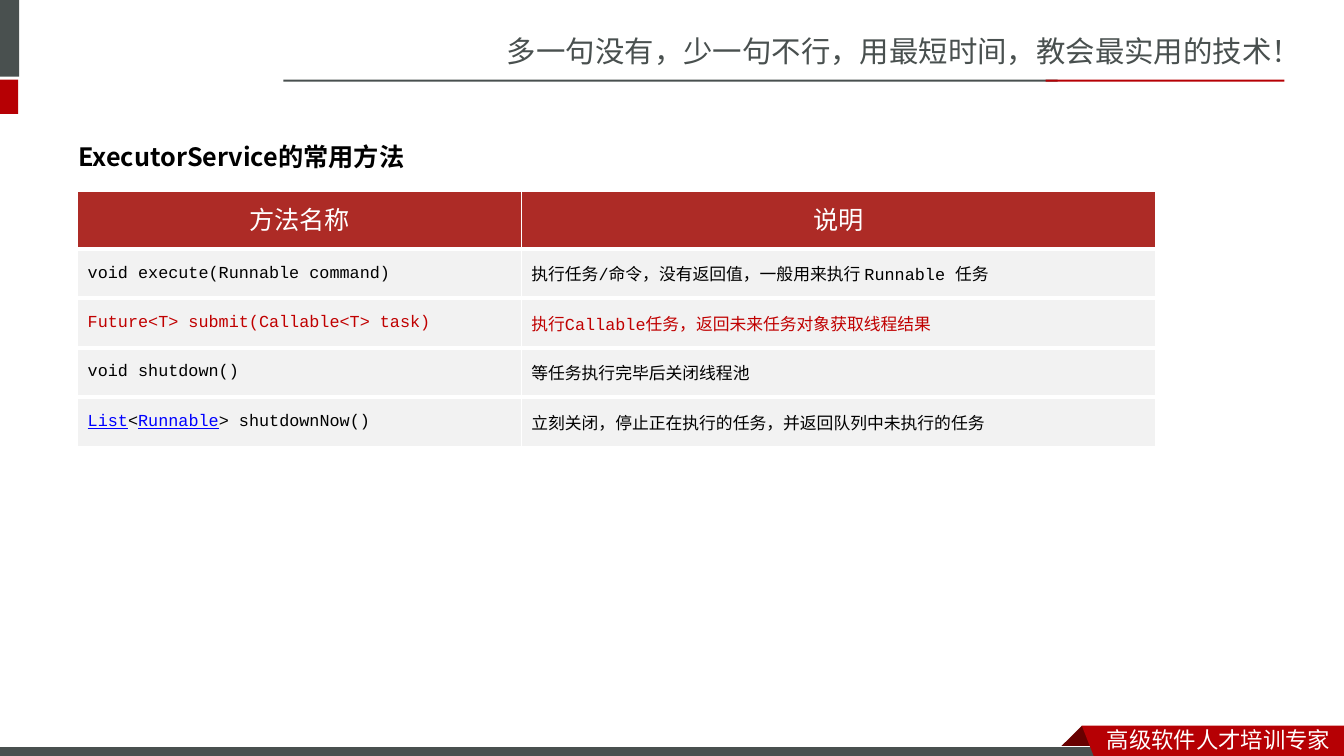
from lxml import etree
from pptx import Presentation
from pptx.dml.color import RGBColor
from pptx.enum import shapes, text
from pptx.oxml.ns import qn
from pptx.util import Inches, Pt

GREY, RED, DARK_RED, WHITE, BLACK = "49504F", "B60004", "680000", "FFFFFF", "000000"
HEAD_FILL, BODY_FILL, ACCENT, LINK = "AD2B26", "F2F2F2", "C00000", "0000FF"
CJK = "Noto Sans CJK SC"

# text, box, size, font, colour, bold
SLOGAN = ("多一句没有，少一句不行，用最短时间，教会最实用的技术！",
          (4.93, 0.28, 8.41, 0.47), 21, CJK, GREY, False)
FOOTER = ("高级软件人才培训专家", (10.88, 7.15, 2.45, 0.37), 16, CJK, WHITE, False)
HEADING = ("ExecutorService的常用方法", (0.68, 1.35, 9.85, 0.4), 18,
           "Noto Sans CJK JP", BLACK, True)

# box, fill
HEADER_BARS = [
    ((-0.06, 0, 0.25, 0.76), GREY),
    ((-0.06, 0.79, 0.24, 0.34), RED),
    ((2.81, 0.79, 7.68, 0.02), GREY),
    ((10.37, 0.79, 2.37, 0.02), RED),
]
FOOTER_BAR = ((-0.01, 7.41, 11, 0.12), GREY)
RIBBON_FOLD = [(10.73, 7.2), (10.95, 7.42), (10.94, 7.43), (10.52, 7.43), (10.51, 7.42)]
RIBBON = [(10.73, 7.2), (13.33, 7.2), (13.33, 7.54), (10.86, 7.53)]

TABLE_BOX = (0.77, 1.9, 10.69, 2.53)
COLUMNS = (4.4, 6.29)
ROWS = (0.57, 0.49, 0.49, 0.49, 0.49)
HEADERS = ("方法名称", "说明")
# each cell is a list of (text, colour) runs
METHODS = [
    ([("void execute(Runnable command)", BLACK)],
     [("执行任务/命令，没有返回值，一般用来执行 Runnable 任务", BLACK)]),
    ([("Future<T> submit(Callable<T> task)", ACCENT)],
     [("执行Callable任务，返回未来任务对象获取线程结果", ACCENT)]),
    ([("void shutdown()", BLACK)],
     [("等任务执行完毕后关闭线程池", BLACK)]),
    ([("List", LINK), ("<", BLACK), ("Runnable", LINK), ("> shutdownNow()", BLACK)],
     [("立刻关闭，停止正在执行的任务，并返回队列中未执行的任务", BLACK)]),
]


def rgb(value):
    return RGBColor.from_string(value)


def inches(values):
    return [Inches(v) for v in values]


def add_run(p, words, size, font, color, east_asian=CJK, **formats):
    r = p.add_run()
    r.text = words
    r.font.color.rgb = rgb(color)
    for name, value in {"size": Pt(size), "name": font, **formats}.items():
        setattr(r.font, name, value)
    ea = etree.SubElement(r.font._element, qn("a:ea"))
    ea.set("typeface", east_asian)


def add_text(s, words, box, size, font, color, bold):
    tf = s.shapes.add_textbox(*inches(box)).text_frame
    tf.word_wrap = True
    tf.auto_size = text.MSO_AUTO_SIZE.SHAPE_TO_FIT_TEXT
    add_run(tf.paragraphs[0], words, size, font, color, font, bold=bold)


def paint(sp, color):
    sp.shadow.inherit = False
    sp.fill.solid()
    sp.fill.fore_color.rgb = rgb(color)
    sp.line.fill.background()


def add_bar(s, box, color):
    sp = s.shapes.add_shape(shapes.MSO_SHAPE.RECTANGLE, *inches(box))
    paint(sp, color)
    return sp


def add_outline(s, points, color):
    start, *rest = [inches(point) for point in points]
    builder = s.shapes.build_freeform(*start)
    builder.add_line_segments(rest, close=True)
    paint(builder.convert_to_shape(), color)


def style_cell(cell, color, top, bottom):
    """Set white borders (widths in points), then the fill."""
    tc_pr = cell._tc.get_or_add_tcPr()
    for side, width in {"L": 1, "R": 1, "T": top, "B": bottom}.items():
        ln = etree.SubElement(tc_pr, qn(f"a:ln{side}"), w=str(Pt(width)))
        fill = etree.SubElement(ln, qn("a:solidFill"))
        etree.SubElement(fill, qn("a:srgbClr"), val=WHITE)
    cell.fill.solid()
    cell.fill.fore_color.rgb = rgb(color)
    cell.vertical_anchor = text.MSO_ANCHOR.MIDDLE


def add_methods_table(s):
    table = s.shapes.add_table(len(ROWS), len(COLUMNS), *inches(TABLE_BOX)).table
    for column, width in zip(table.columns, COLUMNS):
        column.width = Inches(width)
    for row, height in zip(table.rows, ROWS):
        row.height = Inches(height)

    for cell, words in zip(table.rows[0].cells, HEADERS):
        style_cell(cell, HEAD_FILL, 1, 3)
        p = cell.text_frame.paragraphs[0]
        p.alignment = text.PP_ALIGN.CENTER
        p.line_spacing = Pt(24)
        add_run(p, words, 18, "Roboto", WHITE)

    for i, method in enumerate(METHODS, 1):
        bottom = 1 if i == len(METHODS) else 3
        for cell, runs in zip(table.rows[i].cells, method):
            style_cell(cell, BODY_FILL, 3, bottom)
            for words, color in runs:
                add_run(cell.text_frame.paragraphs[0], words, 12, "Courier New",
                        color, underline=color == LINK)


def main():
    prs = Presentation()
    prs.slide_width, prs.slide_height = inches((13.33, 7.5))
    s = prs.slides.add_slide(prs.slide_layouts[6])

    add_text(s, *SLOGAN)
    for bar in HEADER_BARS:
        add_bar(s, *bar)
    add_outline(s, RIBBON_FOLD, DARK_RED)
    footer_bar = add_bar(s, *FOOTER_BAR)
    footer_bar.line.color.rgb = rgb(WHITE)
    footer_bar.line.width = Pt(0.75)
    add_outline(s, RIBBON, RED)
    add_text(s, *FOOTER)
    add_methods_table(s)
    add_text(s, *HEADING)
    prs.save("out.pptx")


if __name__ == "__main__":
    main()
